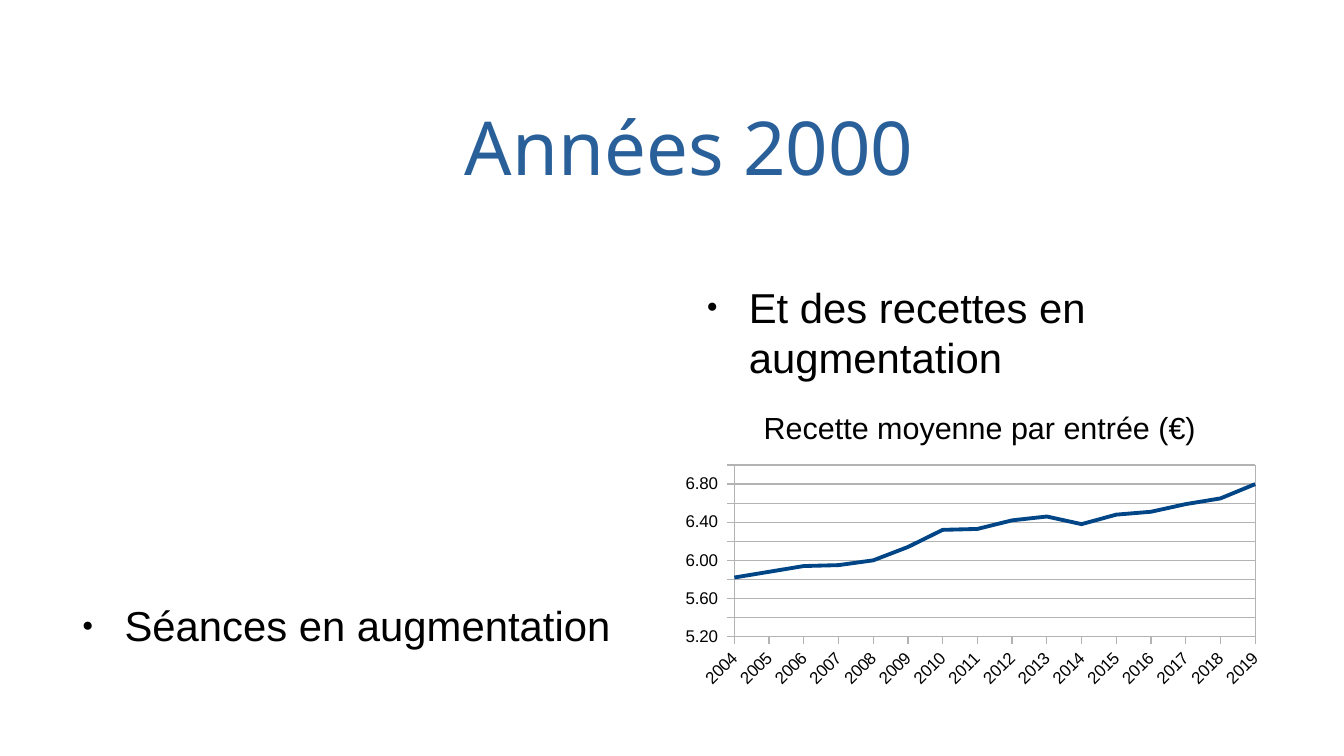
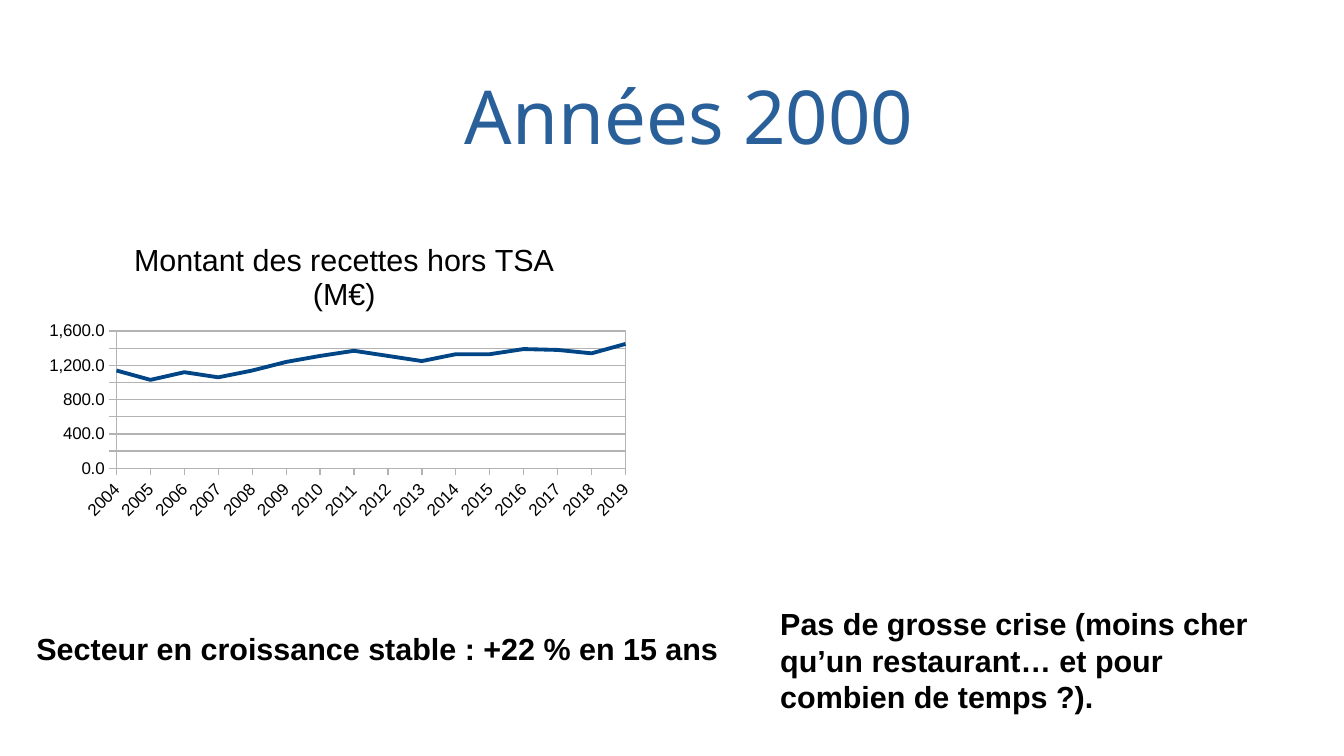
from lxml import etree
from pptx import Presentation
from pptx.chart.data import CategoryChartData
from pptx.dml.color import RGBColor
from pptx.enum.chart import XL_CHART_TYPE as ChartType, XL_TICK_MARK as TickMark
from pptx.enum.text import MSO_ANCHOR as Anchor, MSO_AUTO_SIZE as AutoSize, PP_ALIGN as Align
from pptx.oxml import parse_xml
from pptx.oxml.ns import nsdecls, qn
from pptx.util import Pt

SLIDE_SIZE = (793.5, 446.5)
BLUE, BLACK, WHITE, GREY, NAVY = "2A6099", "000000", "FFFFFF", "B3B3B3", "004586"
TITLE_FONT, BODY_FONT = "Noto Sans", "Arial"
TEXT_INDENT, BULLET_HANG = 34, 25
YEARS = [str(year) for year in range(2004, 2020)]
REVENUE_PER_ENTRY = [5.82, 5.88, 5.94, 5.95, 6.0, 6.14, 6.32, 6.33,
                     6.42, 6.46, 6.38, 6.48, 6.51, 6.59, 6.65, 6.8]
REVENUE_MILLIONS = [1140, 1030, 1120, 1060, 1140, 1240, 1310, 1370,
                    1310, 1250, 1330, 1330, 1390, 1380, 1340, 1450]


def color(hex_string):
    return RGBColor.from_string(hex_string)


def points(box):
    return [Pt(value) for value in box]


def style_font(font, size, hex_string=BLACK, name=BODY_FONT, bold=False):
    font.name, font.size, font.bold = name, Pt(size), bold
    font.color.rgb = color(hex_string)


def prepare_frame(frame, margins=(0, 0, 0, 0)):
    frame.word_wrap = True
    frame.auto_size = AutoSize.NONE
    (frame.margin_left, frame.margin_top,
     frame.margin_right, frame.margin_bottom) = points(margins)
    return frame.paragraphs[0]


def set_indent(paragraph, left, first):
    properties = paragraph._p.get_or_add_pPr()
    properties.set("marL", str(Pt(left)))
    properties.set("indent", str(Pt(first)))
    return properties


def add_title_slide(presentation, text, box):
    """Title-only slide with the shared title style."""
    slide = presentation.slides.add_slide(presentation.slide_layouts[5])
    background = slide.background.fill
    background.solid()
    background.fore_color.rgb = color(WHITE)
    title = slide.shapes.title
    title.left, title.top, title.width, title.height = points(box)
    paragraph = prepare_frame(title.text_frame)
    title.text_frame.vertical_anchor = Anchor.MIDDLE
    paragraph.alignment = Align.CENTER
    set_indent(paragraph, TEXT_INDENT, 0)
    run = paragraph.add_run()
    run.text = text
    style_font(run.font, 43.9, BLUE, TITLE_FONT)
    return slide


def add_text(slide, text, box, size, line_height, margins=(0, 0, 0, 0),
             bold=False, bullet=False):
    """One paragraph of body text, with or without a bullet."""
    shape = slide.shapes.add_textbox(*points(box))
    paragraph = prepare_frame(shape.text_frame, margins)
    paragraph.line_spacing = Pt(line_height)
    if bullet:
        properties = set_indent(paragraph, TEXT_INDENT, -BULLET_HANG)
        bullet_color = etree.SubElement(properties, qn("a:buClr"))
        etree.SubElement(bullet_color, qn("a:srgbClr"), val=BLACK)
        etree.SubElement(properties, qn("a:buSzPct"), val="45000")
        etree.SubElement(properties, qn("a:buFont"), typeface=BODY_FONT)
        etree.SubElement(properties, qn("a:buChar"), char="●")
    run = paragraph.add_run()
    run.text = text
    style_font(run.font, size, bold=bold)


def add_bullet(slide, text, box):
    add_text(slide, text, box, 24.7, 29.5, bullet=True)


def add_remark(slide, text, box):
    add_text(slide, text, box, 18, 21.5, (7.2, 3.6, 7.2, 3.6), bold=True)


def manual_layout(x, y, width=None, height=None):
    """Chart part position, as fractions of the chart."""
    layout = parse_xml(f"<c:layout {nsdecls('c')}><c:manualLayout/></c:layout>")
    manual = layout[0]
    values = [("xMode", "edge"), ("yMode", "edge"), ("x", x), ("y", y)]
    if width:
        values = [("layoutTarget", "inner")] + values + [("w", width), ("h", height)]
    for tag, value in values:
        etree.SubElement(manual, qn(f"c:{tag}"), val=str(value))
    return layout


def shape_properties(fill, line):
    return parse_xml(
        f"<c:spPr {nsdecls('c', 'a')}>{fill}<a:ln w=\"0\">{line}</a:ln></c:spPr>")


def solid(hex_string):
    return f'<a:solidFill><a:srgbClr val="{hex_string}"/></a:solidFill>'


def remove_children(parent, tag):
    for child in parent.findall(qn(tag)):
        parent.remove(child)


def style_axis(axis):
    axis.major_tick_mark = TickMark.OUTSIDE
    axis.minor_tick_mark = TickMark.NONE
    axis.format.line.color.rgb = color(GREY)
    axis.format.line.width = Pt(0)
    style_font(axis.tick_labels.font, 10)


def add_line_chart(slide, box, title, name, values, scale, number_format,
                   title_at, plot_at):
    """Yearly line chart; scale is minimum, maximum and step."""
    data = CategoryChartData()
    data.categories = YEARS
    data.add_series(name, values)
    chart = slide.shapes.add_chart(ChartType.LINE, *points(box), data).chart
    chart.has_legend = False
    style_font(chart.font, 10)

    # Title
    chart.has_title = True
    paragraph = chart.chart_title.text_frame.paragraphs[0]
    run = paragraph.add_run()
    run.text = title
    style_font(run.font, 18)
    title_element = chart.chart_title._element
    remove_children(title_element, "c:layout")
    title_element.find(qn("c:tx")).addnext(manual_layout(*title_at))

    # Axes
    years, amounts = chart.category_axis, chart.value_axis
    style_axis(years)
    style_axis(amounts)
    label_body = years._element.find(qn("c:txPr")).find(qn("a:bodyPr"))
    label_body.set("rot", "-2700000")
    label_body.set("vert", "horz")
    amounts.minimum_scale, amounts.maximum_scale, amounts.major_unit = scale
    amounts.tick_labels.number_format = number_format
    amounts.tick_labels.number_format_is_linked = False
    amounts.has_major_gridlines = True
    grid = amounts.major_gridlines.format.line
    grid.color.rgb = color(GREY)
    grid.width = Pt(0)
    remove_children(amounts._element, "c:crossBetween")
    amounts._element.find(qn("c:crosses")).addnext(
        parse_xml(f'<c:crossBetween {nsdecls("c")} val="midCat"/>'))

    # Line
    chart.plots[0].vary_by_categories = False
    series = chart.plots[0].series[0]
    series.smooth = False
    series.format.line.color.rgb = color(NAVY)
    series.format.line.width = Pt(2.27)

    # Plot area and background
    chart_element = chart._chartSpace.find(qn("c:chart"))
    plot_area = chart_element.find(qn("c:plotArea"))
    remove_children(plot_area, "c:layout")
    plot_area.insert(0, manual_layout(*plot_at))
    plot_area.append(shape_properties("<a:noFill/>", solid(GREY)))
    chart_element.addnext(shape_properties(solid(WHITE), "<a:noFill/>"))


def build_sessions_slide(presentation):
    slide = add_title_slide(presentation, "Années 2000", (14.4, 26.6, 751, 119.5))
    add_bullet(slide, "Séances en augmentation", (39.6, 354.2, 342.7, 46))
    add_line_chart(
        slide, (398.2, 226.8, 353.5, 184.3), "Recette moyenne par entrée (€)",
        "Recette moyenne par entrée (€)", REVENUE_PER_ENTRY, (5.2, 7, 0.2),
        "#,##0.00\\ ;\\-#,##0.00\\ ", (0.14, 0.06), (0.1, 0.26, 0.87, 0.55))
    add_bullet(slide, "Et des recettes en augmentation", (408.2, 166.3, 342.7, 46))


def build_revenue_slide(presentation):
    slide = add_title_slide(presentation, "Années 2000", (14.4, 7.9, 751, 119.5))
    add_line_chart(
        slide, (22.3, 127.4, 357.8, 184.3), "Montant des recettes hors TSA (M€)",
        "Series 1", [value * 10**6 for value in REVENUE_MILLIONS],
        (0, 1.6e9, 2e8), "#,##0.0,,", (0.15, 0.06), (0.13, 0.37, 0.84, 0.44))
    add_remark(slide, "Secteur en croissance stable : +22 % en 15 ans",
               (14.4, 368.6, 425.5, 28))
    add_remark(slide, "Pas de grosse crise (moins cher qu’un restaurant… "
               "et pour combien de temps ?).", (453.6, 354.2, 311.8, 67.7))


def main():
    presentation = Presentation()
    presentation.slide_width, presentation.slide_height = points(SLIDE_SIZE)
    build_sessions_slide(presentation)
    build_revenue_slide(presentation)
    presentation.save("out.pptx")


if __name__ == "__main__":
    main()
